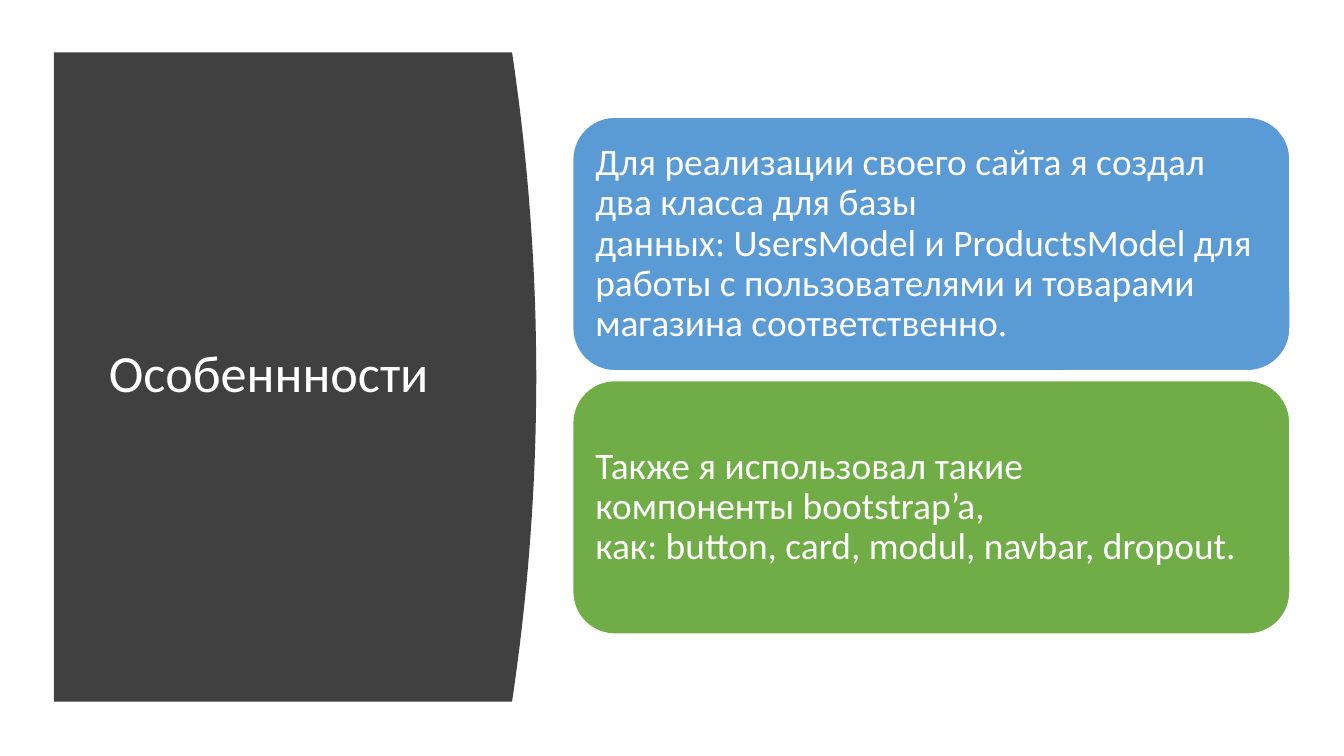
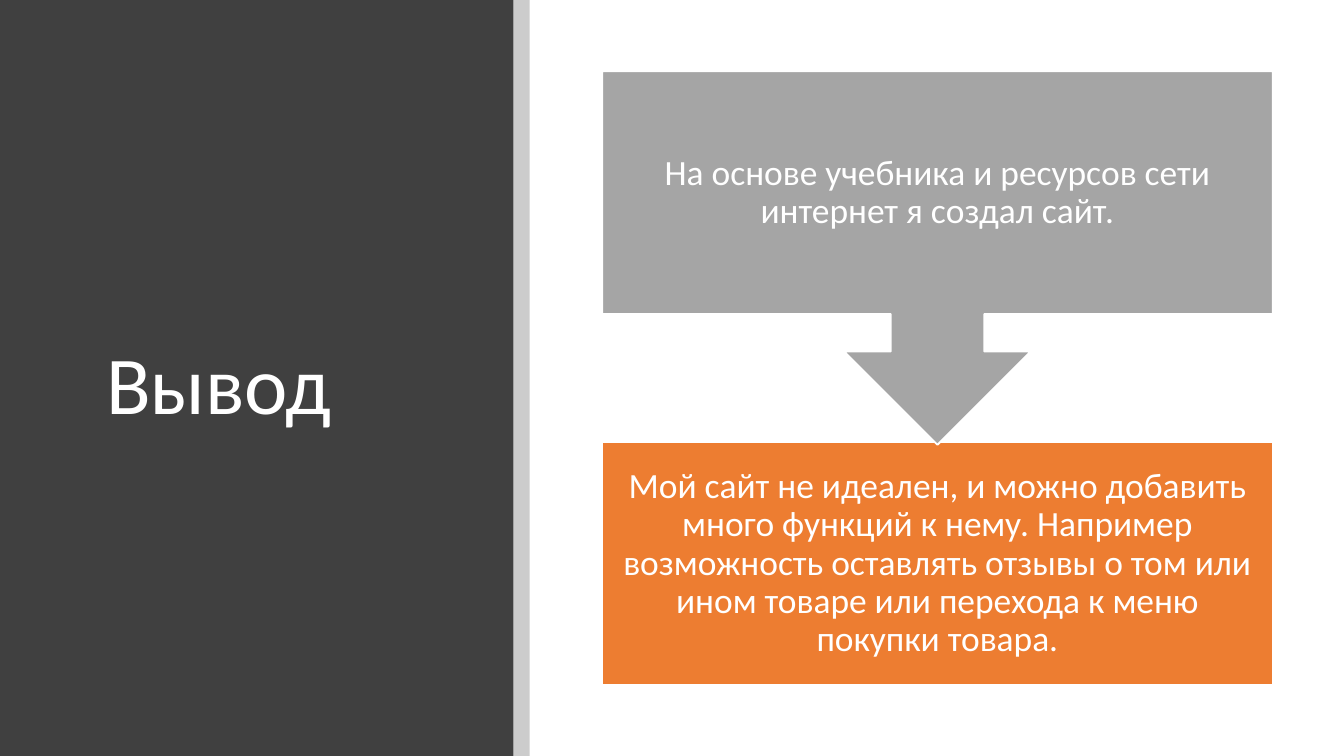
from dataclasses import dataclass

from lxml import etree
from pptx import Presentation
from pptx.dml.color import RGBColor
from pptx.enum import shapes, text
from pptx.oxml import ns
from pptx.util import Inches, Pt


@dataclass(frozen=True)
class Theme:
    font: str = "Calibri"
    white: str = "FFFFFF"
    dark: str = "404040"
    black: str = "000000"
    blue: str = "5B9BD5"
    green: str = "70AD47"
    gray: str = "A5A5A5"
    orange: str = "ED7D31"
    feature_size: int = 20
    conclusion_size: int = 19
    line_spacing: float = 0.9


THEME = Theme()
SLIDE_W = 10
SLIDE_H = SLIDE_W * 9 / 16
HARD_SPACE = chr(160)

# Content ("_" stands for a non-breaking space)
FEATURES = {
    "title": "Особеннности",
    "title_size": 28,
    "title_box": (0.71, 0.83, 2.8, 3.93),
    "cards": [
        (THEME.blue, "Для реализации своего сайта я создал два класса для базы "
                     "данных:_UsersModel_и_ProductsModel_для работы с "
                     "пользователями и товарами магазина соответственно."),
        (THEME.green, "Также я использовал такие компоненты_bootstrap’a, "
                      "как:_button,_card,_modul,_navbar,_dropout."),
    ],
}
CONCLUSION = {
    "title": "Вывод",
    "title_size": 44,
    "title_box": (0.69, 0.67, 2.74, 4.43),
    "result": "На основе учебника и ресурсов сети интернет я создал сайт.",
    "plans": "Мой сайт не_идеален, и можно добавить много функций к нему. "
             "Например возможность_оставлять отзывы о том или ином товаре "
             "или перехода к меню покупки товара.",
}


# Shared parts
def inches(box):
    return [Inches(value) for value in box]


def write(frame, words, size, align=text.PP_ALIGN.LEFT, inset=None):
    frame.word_wrap = True
    frame.auto_size = text.MSO_AUTO_SIZE.NONE
    frame.vertical_anchor = text.MSO_ANCHOR.MIDDLE
    if inset is not None:
        frame.margin_left = frame.margin_right = Inches(inset)
        frame.margin_top = frame.margin_bottom = Inches(inset)
    paragraph = frame.paragraphs[0]
    paragraph.alignment = align
    paragraph.line_spacing = THEME.line_spacing
    run = paragraph.add_run()
    run.text = words.replace("_", HARD_SPACE)
    run.font.name = THEME.font
    run.font.size = Pt(size)
    run.font.color.rgb = RGBColor.from_string(THEME.white)


def paint(shape, color, outlined=False):
    shape.shadow.inherit = False
    shape.fill.solid()
    shape.fill.fore_color.rgb = RGBColor.from_string(color)
    if outlined:
        shape.line.color.rgb = RGBColor.from_string(THEME.white)
        shape.line.width = Pt(1)
    else:
        shape.line.fill.background()
    return shape


def add_block(slide, kind, box, color, outlined=False):
    return paint(slide.shapes.add_shape(kind, *inches(box)), color, outlined)


def add_words(slide, box, words, size, align, inset):
    write(slide.shapes.add_textbox(*inches(box)).text_frame, words, size, align, inset)


def start_slide(deck, content):
    slide = deck.slides.add_slide(deck.slide_layouts[5])
    title = slide.shapes.title
    title.left, title.top, title.width, title.height = inches(content["title_box"])
    write(title.text_frame, content["title"], content["title_size"])
    return slide


def put_behind_title(slide, panel):
    slide.shapes.title.element.addprevious(panel.element)


# Features: panel with a bulging right edge, two stacked cards
def add_curved_panel(slide):
    left, top, edge, bottom, bulge, steps = 0.4, 0.39, 3.81, 5.22, 0.18, 48
    curve = []
    for step in range(steps + 1):
        t = step / steps
        curve.append((Inches(edge + bulge * 4 * t * (1 - t)),
                      Inches(top + (bottom - top) * t)))
    outline = slide.shapes.build_freeform(Inches(left), Inches(top))
    outline.add_line_segments(curve + [(Inches(left), Inches(bottom))], close=True)
    put_behind_title(slide, paint(outline.convert_to_shape(), THEME.dark))


def build_features(deck):
    slide = start_slide(deck, FEATURES)
    add_curved_panel(slide)
    left, top, width, height, pitch, pad = 4.26, 0.87, 5.34, 1.89, 1.96, 0.09
    for index, (color, words) in enumerate(FEATURES["cards"]):
        y = top + index * pitch
        add_block(slide, shapes.MSO_SHAPE.ROUNDED_RECTANGLE,
                  (left, y, width, height), color, outlined=True)
        add_words(slide, (left + pad, y + pad, width - 2 * pad, height - 2 * pad),
                  words, THEME.feature_size, text.PP_ALIGN.LEFT, 0.08)


# Conclusion: full-height panel with a shaded strip, arrow callout above a box
def build_conclusion(deck):
    slide = start_slide(deck, CONCLUSION)
    rectangle = shapes.MSO_SHAPE.RECTANGLE
    panel_w, strip_w = 3.82, 0.12
    put_behind_title(slide, add_block(slide, rectangle, (0, 0, panel_w, SLIDE_H), THEME.dark))
    strip = add_block(slide, rectangle, (panel_w, 0, strip_w, SLIDE_H), THEME.black)
    tint = strip.element.spPr.find(ns.qn("a:solidFill"))[0]
    etree.SubElement(tint, ns.qn("a:alpha"), val="20000")

    left, width, height = 4.48, 4.99, 1.81
    result_top, plans_top, callout_h = 0.53, 3.29, 2.78
    result_box = (left, result_top, width, height)
    plans_box = (left, plans_top, width, height)

    def add_label(box, words):
        add_words(slide, box, words, THEME.conclusion_size, text.PP_ALIGN.CENTER, 0.15)

    add_block(slide, rectangle, plans_box, THEME.orange, outlined=True)
    add_label(plans_box, CONCLUSION["plans"])
    callout = add_block(slide, shapes.MSO_SHAPE.UP_ARROW_CALLOUT,
                        (left, result_top, width, callout_h), THEME.gray, outlined=True)
    callout.rotation = 180
    add_label(result_box, CONCLUSION["result"])


def main():
    deck = Presentation()
    deck.slide_width, deck.slide_height = Inches(SLIDE_W), Inches(SLIDE_H)
    build_features(deck)
    build_conclusion(deck)
    deck.save("out.pptx")


if __name__ == "__main__":
    main()
